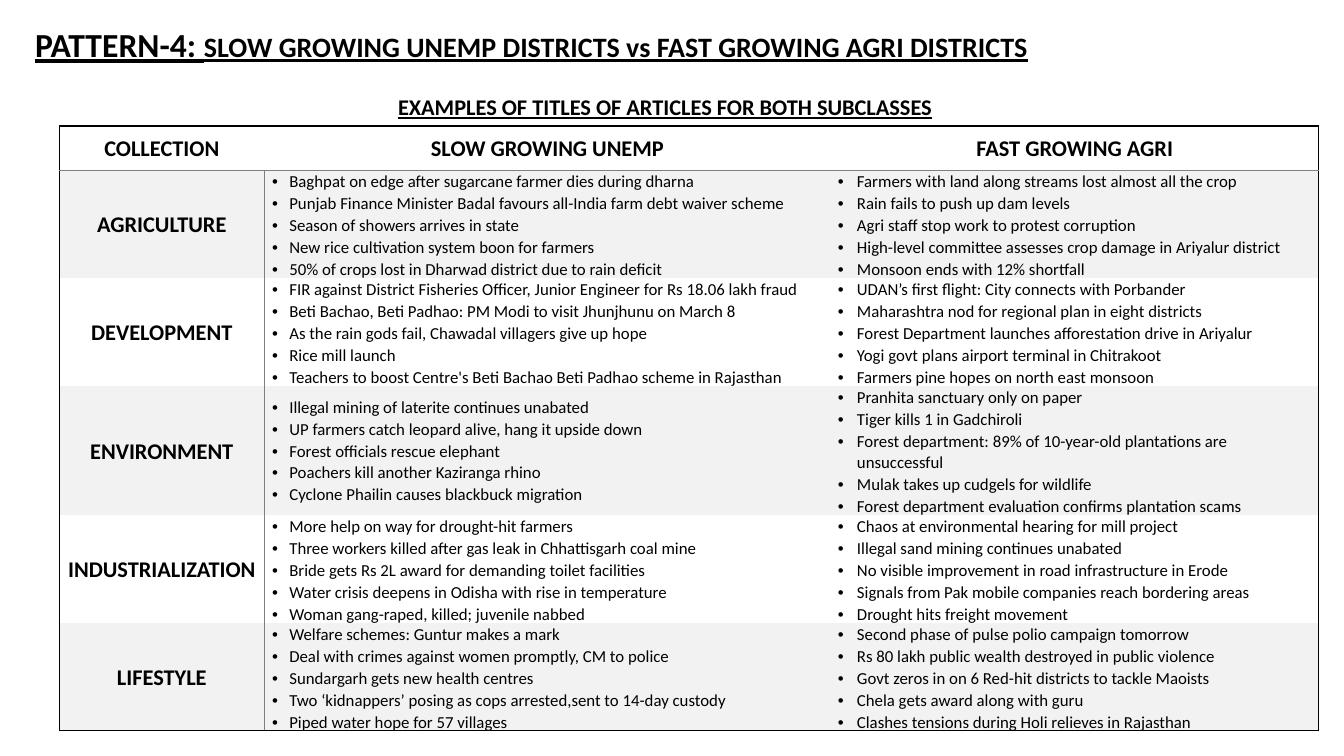
"""Build a slide comparing article titles for two subclasses of districts."""
from dataclasses import dataclass

from lxml.etree import SubElement
from pptx import Presentation
from pptx.dml.color import RGBColor
from pptx.enum.text import MSO_ANCHOR, PP_ALIGN
from pptx.oxml.ns import qn
from pptx.util import Emu, Pt

EMU_PER_PX = 9144


@dataclass(frozen=True)
class Theme:
    font: str = "Calibri"
    ink: str = "000000"
    rule: str = "7F7F7F"
    band: str = "F2F2F2"
    pattern_size: int = 24
    title_size: int = 20
    heading_size: int = 16
    item_size: int = 12
    line_spacing: float = 1.07


THEME = Theme()
COLUMN_WIDTHS = [203, 562, 484]
ROW_HEIGHTS = [44, 103, 81, 81, 81, 81]
BULLET_INDENTS = [(18, -17), (19, -19)]
HEADERS = ["COLLECTION", "SLOW GROWING UNEMP", "FAST GROWING AGRI"]
COLLECTIONS = [
    ("AGRICULTURE", [
        "Baghpat on edge after sugarcane farmer dies during dharna",
        "Punjab Finance Minister Badal favours all-India farm debt waiver scheme",
        "Season of showers arrives in state",
        "New rice cultivation system boon for farmers",
        "50% of crops lost in Dharwad district due to rain deficit",
    ], [
        "Farmers with land along streams lost almost all the crop",
        "Rain fails to push up dam levels",
        "Agri staff stop work to protest corruption",
        "High-level committee assesses crop damage in Ariyalur district",
        "Monsoon ends with 12% shortfall",
    ]),
    ("DEVELOPMENT", [
        "FIR against District Fisheries Officer, Junior Engineer for Rs 18.06 lakh fraud",
        "Beti Bachao, Beti Padhao: PM Modi to visit Jhunjhunu on March 8",
        "As the rain gods fail, Chawadal villagers give up hope",
        "Rice mill launch",
        "Teachers to boost Centre's Beti Bachao Beti Padhao scheme in Rajasthan",
    ], [
        "UDAN’s first flight: City connects with Porbander",
        "Maharashtra nod for regional plan in eight districts",
        "Forest Department launches afforestation drive in Ariyalur",
        "Yogi govt plans airport terminal in Chitrakoot",
        "Farmers pine hopes on north east monsoon",
    ]),
    ("ENVIRONMENT", [
        "Illegal mining of laterite continues unabated",
        "UP farmers catch leopard alive, hang it upside down",
        "Forest officials rescue elephant",
        "Poachers kill another Kaziranga rhino",
        "Cyclone Phailin causes blackbuck migration",
    ], [
        "Pranhita sanctuary only on paper",
        "Tiger kills 1 in Gadchiroli",
        "Forest department: 89% of 10-year-old plantations are unsuccessful",
        "Mulak takes up cudgels for wildlife",
        "Forest department evaluation confirms plantation scams",
    ]),
    ("INDUSTRIALIZATION", [
        "More help on way for drought-hit farmers",
        "Three workers killed after gas leak in Chhattisgarh coal mine",
        "Bride gets Rs 2L award for demanding toilet facilities",
        "Water crisis deepens in Odisha with rise in temperature",
        "Woman gang-raped, killed; juvenile nabbed",
    ], [
        "Chaos at environmental hearing for mill project",
        "Illegal sand mining continues unabated",
        "No visible improvement in road infrastructure in Erode",
        "Signals from Pak mobile companies reach bordering areas",
        "Drought hits freight movement",
    ]),
    ("LIFESTYLE", [
        "Welfare schemes: Guntur makes a mark",
        "Deal with crimes against women promptly, CM to police",
        "Sundargarh gets new health centres",
        "Two ‘kidnappers’ posing as cops arrested,sent to 14-day custody",
        "Piped water hope for 57 villages",
    ], [
        "Second phase of pulse polio campaign tomorrow",
        "Rs 80 lakh public wealth destroyed in public violence",
        "Govt zeros in on 6 Red-hit districts to tackle Maoists",
        "Chela gets award along with guru",
        "Clashes tensions during Holi relieves in Rajasthan",
    ]),
]


def px(length):
    return Emu(length * EMU_PER_PX)


def set_attributes(target, values):
    for name, value in values.items():
        setattr(target, name, value)


def add_run(paragraph, text, size, bold=True, underline=None):
    run = paragraph.add_run()
    run.text = text
    set_attributes(run.font, {"name": THEME.font, "size": Pt(size),
                              "bold": bold, "underline": underline})
    run.font.color.rgb = RGBColor.from_string(THEME.ink)


def add_underlined_text(slide, left, top, width, height, runs):
    box = slide.shapes.add_textbox(px(left), px(top), px(width), px(height))
    box.text_frame.word_wrap = True
    for text, size in runs:
        add_run(box.text_frame.paragraphs[0], text, size, underline=True)


def add_bullet(paragraph, indents):
    properties = paragraph._p.get_or_add_pPr()
    for name, length in zip(("marL", "indent"), indents):
        properties.set(name, str(px(length)))
    color = SubElement(properties, qn("a:buClr"))
    SubElement(color, qn("a:srgbClr"), val=THEME.ink)
    SubElement(properties, qn("a:buFont"), typeface="Arial")
    SubElement(properties, qn("a:buChar"), char="•")


def set_borders(cell, colors):
    properties = cell._tc.get_or_add_tcPr()
    for side, color in zip("LRTB", colors):
        line = SubElement(properties, qn(f"a:ln{side}"), w=str(Pt(1)))
        if color:
            fill = SubElement(line, qn("a:solidFill"))
            SubElement(fill, qn("a:srgbClr"), val=color)
        else:
            SubElement(line, qn("a:noFill"))


def border_colors(row, column):
    def vertical(edge):
        if edge in (0, len(COLUMN_WIDTHS)):
            return THEME.ink
        return THEME.rule if edge == 1 and row > 0 else None

    def horizontal(edge):
        if edge in (0, len(ROW_HEIGHTS)):
            return THEME.ink
        return THEME.rule if edge == 1 else None

    return vertical(column), vertical(column + 1), horizontal(row), horizontal(row + 1)


def fill_cell(cell, row, column, content):
    set_attributes(cell, {"margin_left": px(7), "margin_right": px(7), "margin_top": 0,
                          "margin_bottom": 0, "vertical_anchor": MSO_ANCHOR.MIDDLE})
    set_borders(cell, border_colors(row, column))
    if row % 2:
        cell.fill.solid()
        cell.fill.fore_color.rgb = RGBColor.from_string(THEME.band)
    else:
        cell.fill.background()
    is_list = isinstance(content, list)
    for index, text in enumerate(content if is_list else [content]):
        frame = cell.text_frame
        paragraph = frame.add_paragraph() if index else frame.paragraphs[0]
        paragraph.line_spacing = THEME.line_spacing
        if is_list:
            add_bullet(paragraph, BULLET_INDENTS[column - 1])
            add_run(paragraph, text, THEME.item_size, bold=False)
        else:
            paragraph.alignment = PP_ALIGN.CENTER
            add_run(paragraph, text, THEME.heading_size)


def add_titles_table(slide, left, top, height):
    rows = [HEADERS, *COLLECTIONS]
    frame = slide.shapes.add_table(len(rows), len(HEADERS), px(left), px(top),
                                   px(sum(COLUMN_WIDTHS)), px(height))
    table = frame.table
    set_attributes(table, {"first_row": False, "horz_banding": False})
    for column, width in zip(table.columns, COLUMN_WIDTHS):
        column.width = px(width)
    for row, row_height in zip(table.rows, ROW_HEIGHTS):
        row.height = px(row_height)
    frame.height = px(height)
    for row, contents in enumerate(rows):
        for column, content in enumerate(contents):
            fill_cell(table.cell(row, column), row, column, content)


def main():
    presentation = Presentation()
    set_attributes(presentation, {"slide_width": px(1333), "slide_height": px(750)})
    slide = presentation.slides.add_slide(presentation.slide_layouts[6])
    add_underlined_text(slide, 25, 19, 1175, 50, [
        ("PATTERN-4: ", THEME.pattern_size),
        ("SLOW GROWING UNEMP DISTRICTS vs FAST GROWING AGRI DISTRICTS", THEME.title_size)])
    add_titles_table(slide, 59, 125, 596)
    add_underlined_text(slide, 385, 88, 564, 37, [
        ("EXAMPLES OF TITLES OF ARTICLES FOR BOTH SUBCLASSES", THEME.heading_size)])
    presentation.save("out.pptx")


if __name__ == "__main__":
    main()
